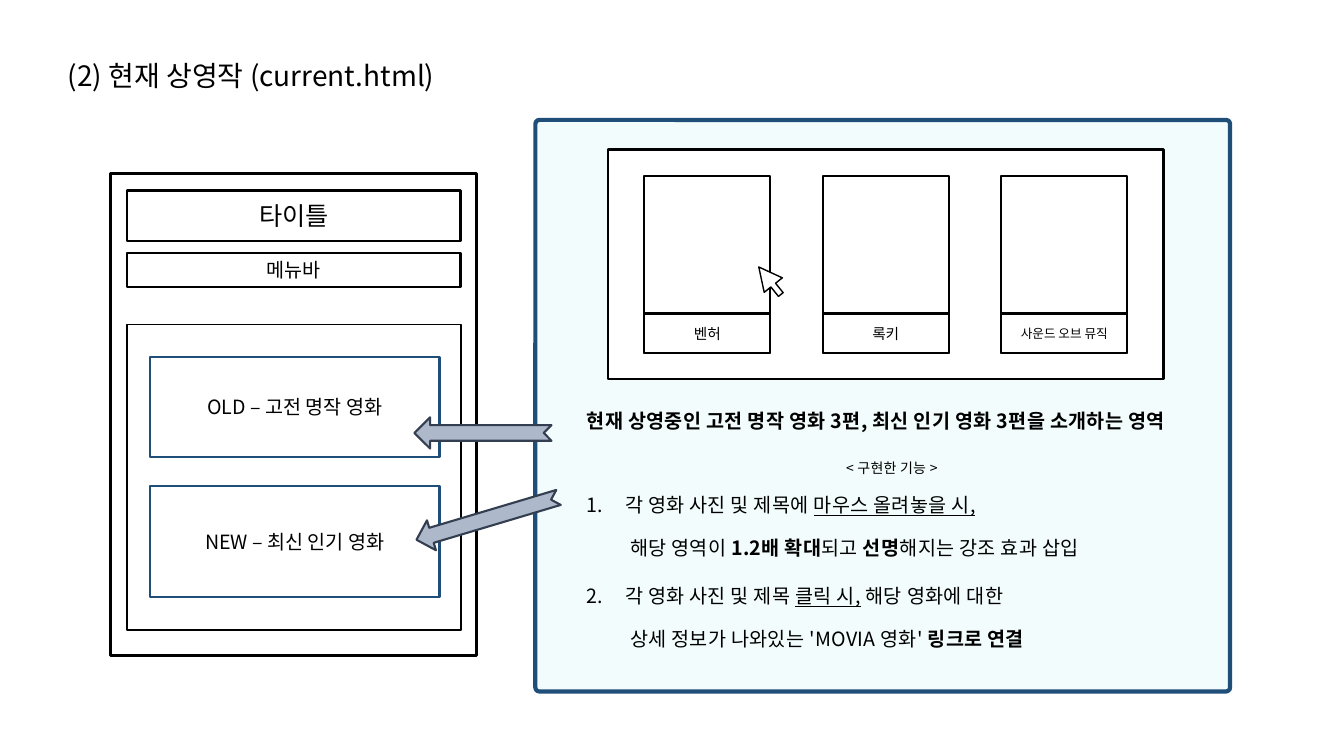
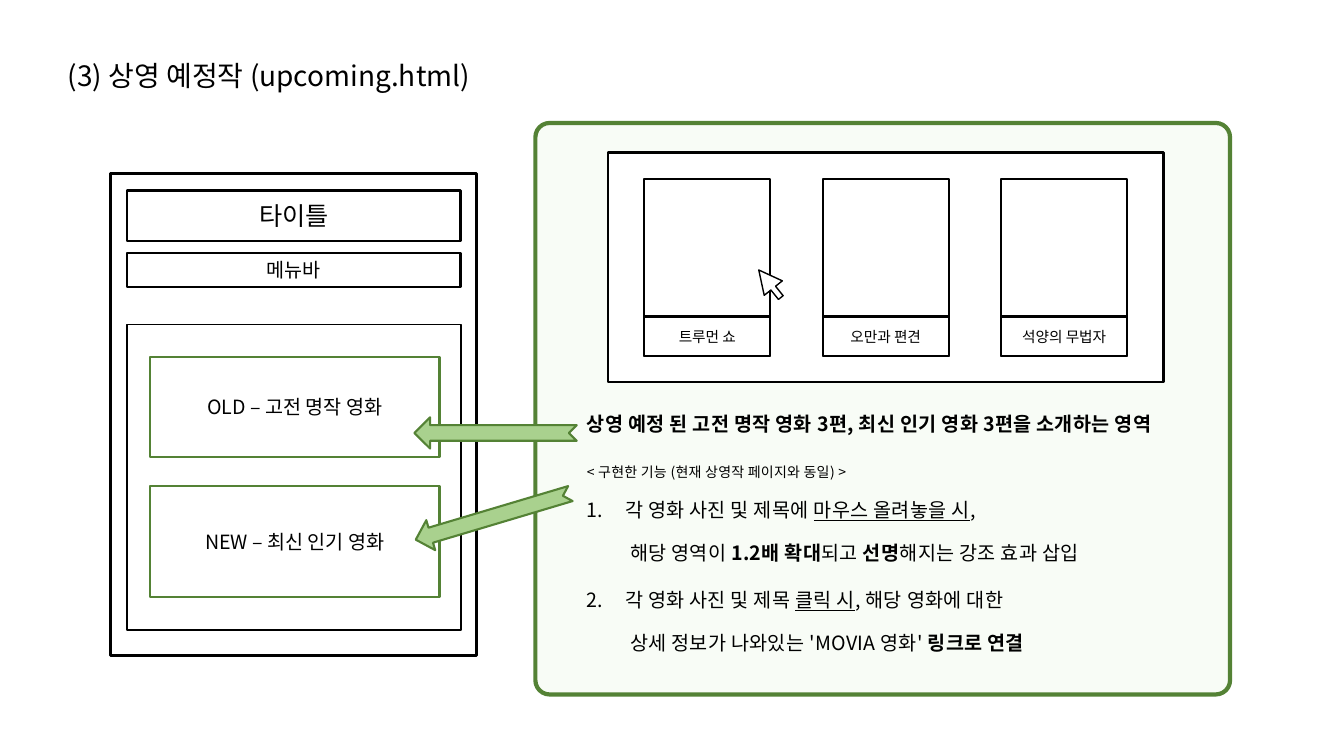
from lxml import etree
from pptx import Presentation
from pptx.dml.color import RGBColor
from pptx.enum.shapes import MSO_SHAPE
from pptx.enum.text import MSO_ANCHOR, MSO_AUTO_SIZE, PP_ALIGN
from pptx.oxml.ns import qn
from pptx.util import Inches, Pt

RECT, ROUND = MSO_SHAPE.RECTANGLE, MSO_SHAPE.ROUNDED_RECTANGLE
POINTER, NOTCHED = MSO_SHAPE.RIGHT_ARROW, MSO_SHAPE.NOTCHED_RIGHT_ARROW
LEFT, CENTER = PP_ALIGN.LEFT, PP_ALIGN.CENTER
TOP, MIDDLE = MSO_ANCHOR.TOP, MSO_ANCHOR.MIDDLE
NO_FIT = MSO_AUTO_SIZE.NONE

FONT = "Noto Sans CJK KR"
BODY_SPACING = 20  # letter spacing in hundredths of a point
COLORS = {
    "black": "000000", "white": "FFFFFF",
    "navy": "1F4E79", "ice": "F2FCFC", "steel": "ADB9CA", "slate": "333F50",
    "green": "548235", "mint": "F8FCF6", "leaf": "A9D18E",
}
BOLD, UNDER = {"bold": True}, {"underline": True}

# Content: paragraphs are (format, runs), runs are (text, style)
HEAD = {"size": 14}
ITEM = {"size": 14, "before": 12, "margin": 0.38, "indent": -0.38}
ITEM_1, ITEM_2 = {**ITEM, "number": 1}, {**ITEM, "before": 17, "number": 2}
DETAIL = {"size": 14, "before": 14, "margin": 0.43}
NOTE = {"size": 10, "before": 20}

ENLARGE = (DETAIL, [("해당 영역이 ", {}), ("1.2배 확대", BOLD), ("되고 ", {}),
                    ("선명", BOLD), ("해지는 강조 효과 삽입", {})])
LINK = (DETAIL, [("상세 정보가 나와있는 'MOVIA 영화' ", {}), ("링크로 연결", BOLD)])
HOVER, CLICK = ("각 영화 사진 및 제목에 ", {}), ("각 영화 사진 및 제목 ", {})

# Wireframe boxes: left, top, width, height, line width, text, size, accented
WIREFRAME = [
    (1.1, 1.72, 3.63, 4.78, 2, "", 14, False),
    (1.26, 1.89, 3.31, 0.5, 1.75, "타이틀", 18, False),
    (1.26, 2.51, 3.31, 0.34, 1.75, "메뉴바", 14, False),
    (1.26, 3.22, 3.31, 3.03, 1.25, "", 14, False),
    (1.49, 3.54, 2.87, 0.99, 1.5, "OLD – 고전 명작 영화", 14, True),
    (1.49, 4.82, 2.87, 1.1, 1.5, "NEW – 최신 인기 영화", 14, True),
]

SLIDES = [
    {
        "title": "(2) 현재 상영작 (current.html)", "title_width": 4.16,
        "accent": "navy", "panel_fill": "ice", "panel_top": 1.19, "radius": 0.007,
        "arrow_fill": "steel", "arrow_line": "slate",
        "arrows": [(4.11, 4.14, 1.36, 180), (4.1, 4.99, 1.47, 163.4)],
        "movies": [("벤허", 10.5), ("록키", 10.5), ("사운드 오브 뮤직", 9)],
        "body_width": 6.25,
        "body": [
            (HEAD, [("현재 상영중인 고전 명작 영화 3편, 최신 인기 영화 3편을 소개하는 영역", BOLD)]),
            ({**NOTE, "before": 19, "align": CENTER}, [("< 구현한 기능 >", {})]),
            (ITEM_1, [HOVER, ("마우스 올려놓을 시,", UNDER)]),
            ENLARGE,
            (ITEM_2, [CLICK, ("클릭 시,", UNDER), (" 해당 영화에 대한", {})]),
            LINK,
        ],
    },
    {
        "title": "(3) 상영 예정작 (upcoming.html)", "title_width": 4.46,
        "accent": "green", "panel_fill": "mint", "panel_top": 1.22, "radius": 0.025,
        "arrow_fill": "leaf", "arrow_line": "green",
        "arrows": [(4.11, 4.14, 1.61, 180), (4.09, 4.97, 1.6, 163.4)],
        "movies": [("트루먼 쇼", 10.5), ("오만과 편견", 10.5), ("석양의 무법자", 10.5)],
        "body_width": 5.9,
        "body": [
            (HEAD, [("상영 예정 된 고전 명작 영화 3편, 최신 인기 영화 3편을 소개하는 영역", BOLD)]),
            (NOTE, [("< 구현한 기능 (현재 상영작 페이지와 동일) >", {})]),
            (ITEM_1, [HOVER, ("마우스 올려놓을 시", UNDER), (",", {})]),
            ENLARGE,
            (ITEM_2, [CLICK, ("클릭 시", UNDER), (", 해당 영화에 대한", {})]),
            LINK,
        ],
    },
]


def rgb(name):
    return RGBColor.from_string(COLORS[name])


def add_run(p, text, size, style, spacing=0):
    r = p.add_run()
    r.text = text
    r.font.color.rgb = rgb("black")
    for key, value in {"name": FONT, "size": Pt(size), **style}.items():
        setattr(r.font, key, value)
    rPr = r._r.get_or_add_rPr()
    etree.SubElement(rPr, qn("a:ea"), typeface=FONT)
    if spacing:
        rPr.set("spc", str(spacing))


def add_box(slide, kind, at, fill="white", line="black", width=1.5,
            text="", size=14, rotation=0, adjust=()):
    sp = slide.shapes.add_shape(kind, *map(Inches, at))
    sp.shadow.inherit = False
    sp.fill.solid()
    sp.fill.fore_color.rgb = rgb(fill)
    sp.line.color.rgb = rgb(line)
    sp.line.width = Pt(width)
    sp.rotation = rotation
    for i, value in enumerate(adjust):
        sp.adjustments[i] = value
    if text:
        tf = sp.text_frame
        tf.vertical_anchor = MIDDLE
        tf.paragraphs[0].alignment = CENTER
        add_run(tf.paragraphs[0], text, size, {})
    return sp


def place(sp, at, anchor):
    """Position a placeholder and return its prepared text frame."""
    sp.left, sp.top, sp.width, sp.height = map(Inches, at)
    tf = sp.text_frame
    for key, value in {"word_wrap": True, "auto_size": NO_FIT,
                       "vertical_anchor": anchor}.items():
        setattr(tf, key, value)
    return tf


def format_paragraph(p, fmt):
    for key, value in {"alignment": fmt.get("align", LEFT),
                       "line_spacing": Pt(fmt["size"] * 1.2),
                       "space_before": Pt(fmt.get("before", 0)),
                       "space_after": Pt(0)}.items():
        setattr(p, key, value)
    pPr = p._p.get_or_add_pPr()
    pPr.set("marL", str(Inches(fmt.get("margin", 0))))
    pPr.set("indent", str(Inches(fmt.get("indent", 0))))
    if "number" in fmt:
        etree.SubElement(pPr, qn("a:buFont"), typeface=FONT)
        etree.SubElement(pPr, qn("a:buAutoNum"), type="arabicPeriod",
                         startAt=str(fmt["number"]))
    else:
        etree.SubElement(pPr, qn("a:buNone"))


def add_wireframe(slide, accent):
    for *at, width, text, size, accented in WIREFRAME:
        add_box(slide, RECT, at, line=accent if accented else "black",
                width=width, text=text, size=size)


def add_posters(slide, top, movies):
    add_box(slide, RECT, (6.03, top + 0.29, 5.51, 2.28), width=2)
    for i, (name, size) in enumerate(movies):
        x, y = 6.39 + 1.77 * i, top + 0.56
        add_box(slide, RECT, (x, y, 1.25, 1.75))
        add_box(slide, RECT, (x, y + 1.36, 1.25, 0.39), text=name, size=size)
    add_box(slide, POINTER, (7.46, top + 1.48, 0.35, 0.23), width=1,
            rotation=231.4, adjust=(0.26, 1))


def add_page(prs, page):
    slide = prs.slides.add_slide(prs.slide_layouts[1])
    title, body = slide.placeholders

    # Title
    tf = place(title, (0.57, 0.53, page["title_width"], 0.44), MIDDLE)
    tf.paragraphs[0].alignment = LEFT
    add_run(tf.paragraphs[0], page["title"], 20, {})

    # Page wireframe and detail panel, with the body text above the panel
    add_wireframe(slide, page["accent"])
    top = page["panel_top"]
    panel = add_box(slide, ROUND, (5.31, top, 6.89, 5.67), page["panel_fill"],
                    page["accent"], 3, adjust=(page["radius"],))
    panel.element.addnext(body.element)

    # Description
    tf = place(body, (5.72, top + 2.82, page["body_width"], 2.55), TOP)
    for i, (fmt, runs) in enumerate(page["body"]):
        p = tf.add_paragraph() if i else tf.paragraphs[0]
        format_paragraph(p, fmt)
        for text, style in runs:
            add_run(p, text, fmt["size"], style, BODY_SPACING)

    # Posters and arrows back to the wireframe
    add_posters(slide, top, page["movies"])
    for x, y, length, rotation in page["arrows"]:
        add_box(slide, NOTCHED, (x, y, length, 0.31), page["arrow_fill"],
                page["arrow_line"], rotation=rotation)


def main():
    prs = Presentation()
    prs.slide_width, prs.slide_height = Inches(13.33), Inches(7.5)
    for page in SLIDES:
        add_page(prs, page)
    prs.save("out.pptx")


if __name__ == "__main__":
    main()
